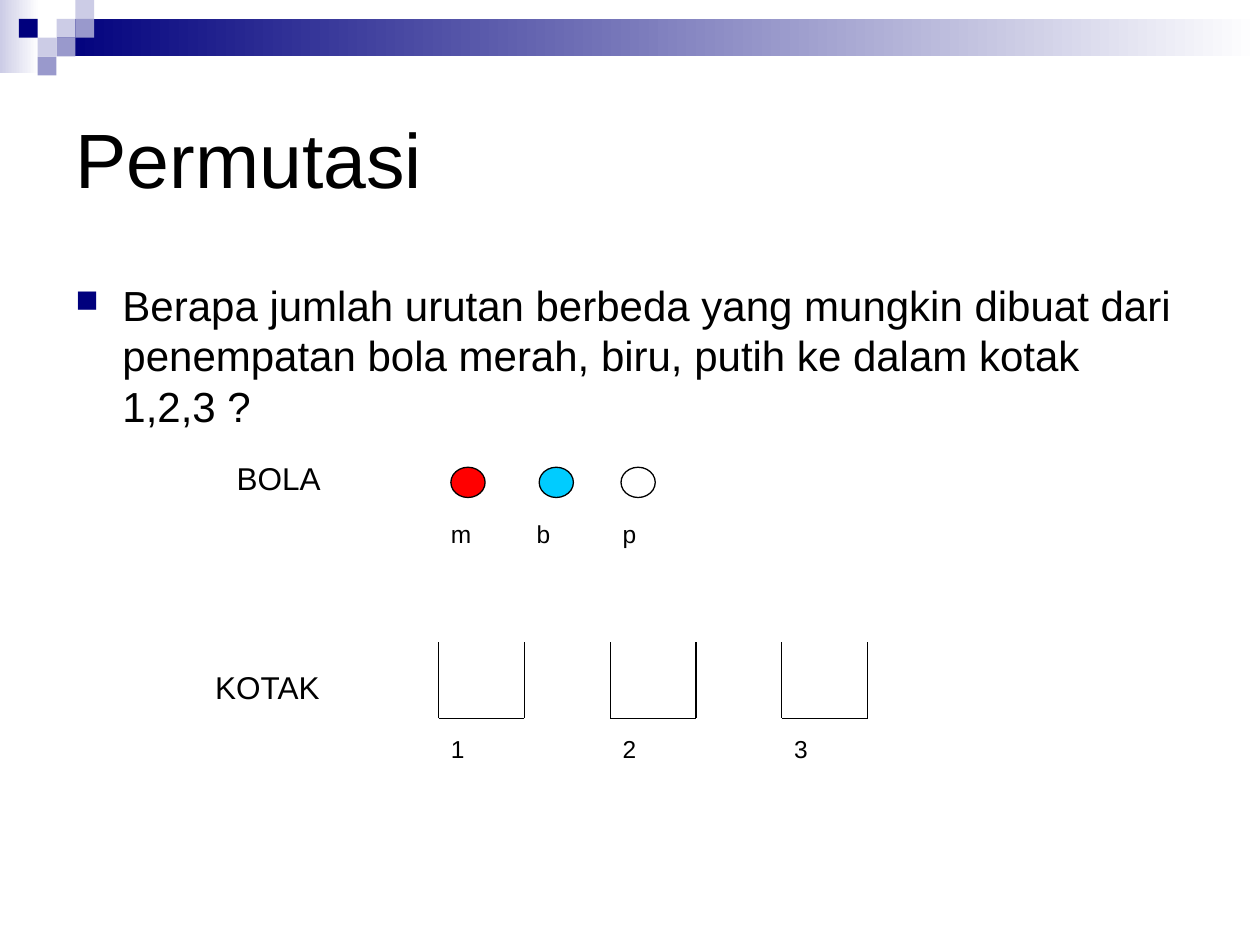
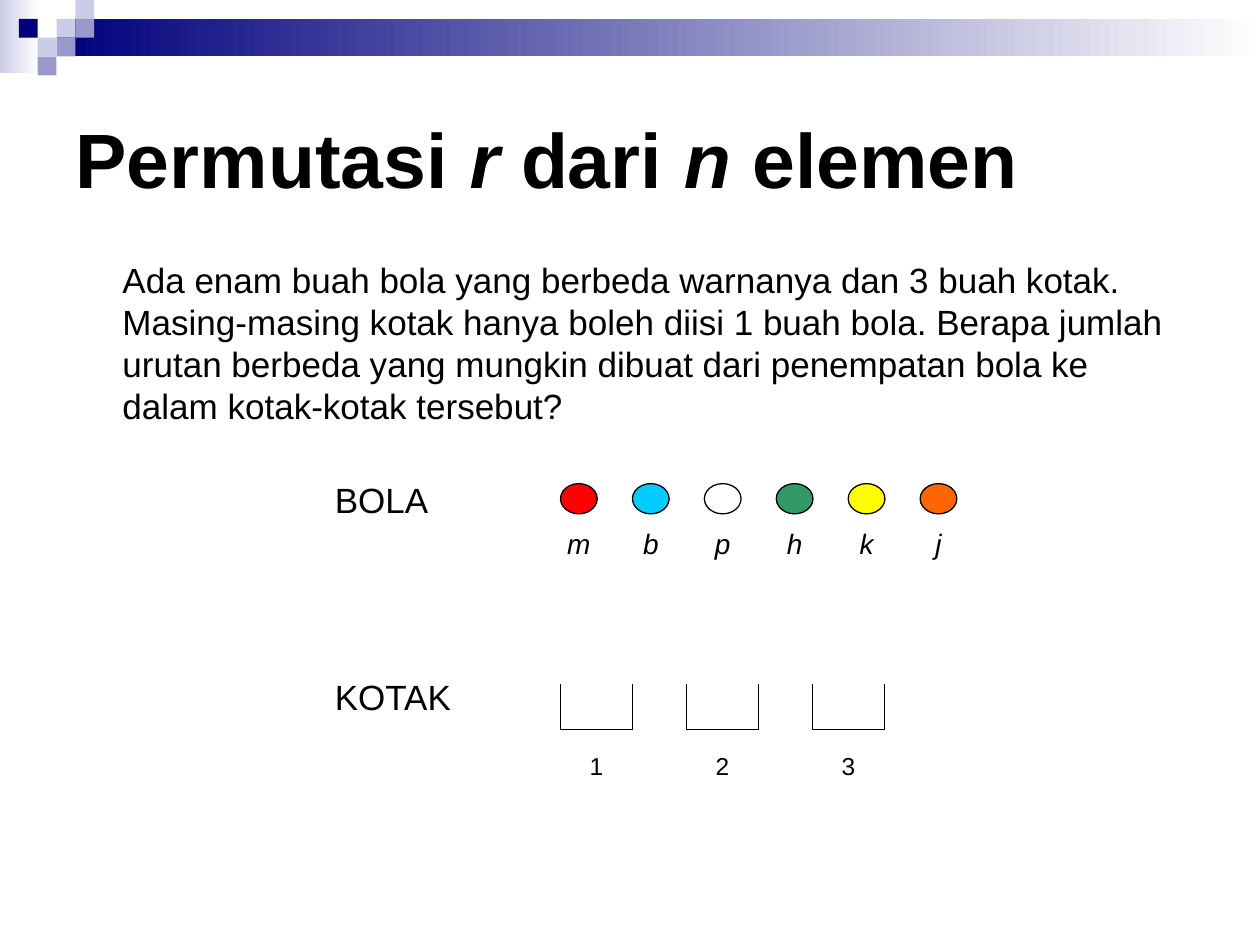
from lxml import etree
from pptx import Presentation
from pptx.dml.color import RGBColor
from pptx.enum import shapes, text
from pptx.oxml.ns import qn
from pptx.util import Cm, Pt

BLACK = RGBColor(0x00, 0x00, 0x00)
WHITE = RGBColor(0xFF, 0xFF, 0xFF)
NAVY = RGBColor(0x00, 0x00, 0x7D)
LILAC = RGBColor(0xCC, 0xCC, 0xE6)
LAVENDER = RGBColor(0x99, 0x99, 0xCC)
RED = RGBColor(0xFF, 0x00, 0x00)
BLUE = RGBColor(0x00, 0xCC, 0xFF)
GREEN = RGBColor(0x33, 0x99, 0x66)
YELLOW = RGBColor(0xFF, 0xFF, 0x00)
ORANGE = RGBColor(0xFF, 0x66, 0x00)

FONT = "Arial"
THIN = Pt(0.75)
TITLE_ONLY = 5
CELL = 0.38     # side of a square in the corner mosaic, cm
INSET = 0.25    # side margin of a text box, cm
LABEL_HEIGHT = 1.12


def set_all(target, values):
    for name, value in values.items():
        setattr(target, name, value)


class Deck:
    """Holds the presentation, its style and the current slide."""

    def __init__(self):
        self.prs = Presentation()
        set_all(self.prs, {"slide_width": Cm(25.4), "slide_height": Cm(19.05)})
        self.layout = self.prs.slide_layouts[TITLE_ONLY]
        self.slide = None

    def new_slide(self, title_runs, bold=False):
        first = self.slide is None
        self.slide = self.prs.slides.add_slide(self.layout)
        if first:
            self.band()
        title = self.slide.shapes.title
        self.place(title, 1.27, 1.27, 22.86, 3.81)
        title.text_frame.vertical_anchor = text.MSO_ANCHOR.MIDDLE
        paragraph = title.text_frame.paragraphs[0]
        paragraph.alignment = text.PP_ALIGN.LEFT
        for words, italic in title_runs:
            self.run(paragraph, words, 44, bold=bold, italic=italic)

    def place(self, shape, left, top, width, height):
        set_all(shape, {"left": Cm(left), "top": Cm(top),
                        "width": Cm(width), "height": Cm(height)})

    def run(self, paragraph, words, size, **styles):
        run = paragraph.add_run()
        run.text = words
        set_all(run.font, {"name": FONT, "size": Pt(size), **styles})
        run.font.color.rgb = BLACK

    def shape(self, kind, left, top, width, height, fill=None, outlined=False):
        shape = self.slide.shapes.add_shape(
            kind, Cm(left), Cm(top), Cm(width), Cm(height))
        shape.shadow.inherit = False
        if fill is None:
            shape.fill.background()
        elif isinstance(fill, RGBColor):
            shape.fill.solid()
            shape.fill.fore_color.rgb = fill
        else:
            shape.fill.gradient()
            shape.fill.gradient_angle = 0
            for stop, position, color in zip(shape.fill.gradient_stops, (0, 1), fill):
                stop.position = position
                stop.color.rgb = color
        if outlined:
            shape.line.color.rgb = BLACK
            shape.line.width = THIN
        else:
            shape.line.fill.background()
        return shape

    def band(self):
        """Draw the top band and mosaic, and hand them to the shared layout."""
        rect = shapes.MSO_SHAPE.RECTANGLE
        parts = [self.shape(rect, 0, 0, 0.79, 1.47, [LILAC, WHITE]),
                 self.shape(rect, 3 * CELL, CELL, 24.26, 2 * CELL, [NAVY, WHITE])]
        mosaic = [(3, 1, LILAC), (4, 0, LILAC), (4, 1, LAVENDER), (2, 2, LILAC),
                  (1, 1, NAVY), (3, 2, LAVENDER), (2, 3, LAVENDER)]
        parts += [self.shape(rect, column * CELL, row * CELL, CELL, CELL, color)
                  for column, row, color in mosaic]
        for number, part in enumerate(parts, 100):
            part.element.nvSpPr.cNvPr.set("id", str(number))
            self.layout.shapes.element.append(part.element)

    def text_box(self, words, size, left, top, width, height, before=0, **styles):
        box = self.slide.shapes.add_textbox(
            Cm(left), Cm(top), Cm(width), Cm(height))
        box.text_frame.word_wrap = True
        paragraph = box.text_frame.paragraphs[0]
        paragraph.space_before = Pt(before)
        self.run(paragraph, words, size, **styles)
        return box, paragraph

    def body(self, words, size, top, height, before=0, bullet=False):
        paragraph = self.text_box(words, size, 1.27, top, 22.86, height, before)[1]
        props = paragraph._p.get_or_add_pPr()
        props.set("marL", str(Cm(0.95)))
        props.set("indent", str(-Cm(0.95) if bullet else 0))
        if bullet:
            color = etree.SubElement(props, qn("a:buClr"))
            etree.SubElement(color, qn("a:srgbClr"), val=str(NAVY))
            etree.SubElement(props, qn("a:buSzPct"), val="75000")
            etree.SubElement(props, qn("a:buChar"), char="■")

    def label(self, words, size, left, top, width, height=LABEL_HEIGHT, **styles):
        box, paragraph = self.text_box(words, size, left, top, width, height, **styles)
        box.fill.solid()
        box.fill.fore_color.rgb = WHITE
        return paragraph

    def label_row(self, names, size, centers, left, top, width,
                  height=LABEL_HEIGHT, **styles):
        """One line of names, each on a centred tab stop."""
        words = "".join("\t" + name for name in names)
        paragraph = self.label(words, size, left, top, width, height, **styles)
        tabs = etree.SubElement(paragraph._p.get_or_add_pPr(), qn("a:tabLst"))
        for center in centers:
            etree.SubElement(tabs, qn("a:tab"), algn="ctr",
                             pos=str(Cm(center - left - INSET)))

    def ball(self, color, left, top, width):
        self.shape(shapes.MSO_SHAPE.OVAL, left, top, width, 0.61, color, True)

    def line(self, x1, y1, x2, y2):
        line = self.slide.shapes.add_connector(
            shapes.MSO_CONNECTOR.STRAIGHT, Cm(x1), Cm(y1), Cm(x2), Cm(y2))
        line.line.color.rgb = BLACK
        line.line.width = THIN
        etree.SubElement(line.element.spPr, qn("a:effectLst"))

    def open_box(self, left, top, width, bottom):
        right = left + width
        self.line(left, top, left, bottom)
        self.line(left, bottom, right, bottom)
        self.line(right, bottom, right, top)


def permutation_slide(deck):
    deck.new_slide([("Permutasi", False)])
    deck.body("Berapa jumlah urutan berbeda yang mungkin dibuat dari penempatan "
              "bola merah, biru, putih ke dalam kotak 1,2,3 ?",
              24, 5.51, 10.8, before=6, bullet=True)
    start, box_width = 8.84, 1.73

    # Balls
    deck.label("BOLA", 18, 4.52, 9.12, 3.89)
    balls = [("m", RED, 9.09), ("b", BLUE, 10.87), ("p", None, 12.52)]
    for i, (name, color, left) in enumerate(balls):
        deck.ball(color, left, 9.42, 0.69)
        deck.label(name, 14, start + i * box_width, 10.34, 1.3)

    # Boxes
    deck.label("KOTAK", 18, 4.09, 13.34, 3.89)
    for i in range(3):
        left = start + i * 2 * box_width
        deck.open_box(left, 12.95, box_width, 14.48)
        deck.label(str(i + 1), 14, left, 14.68, 1.3)


def r_of_n_slide(deck):
    deck.new_slide([("Permutasi ", False), ("r", True), (" dari ", False),
                    ("n", True), (" elemen", False)], bold=True)
    deck.body("Ada enam buah bola yang berbeda warnanya dan 3 buah kotak. "
              "Masing-masing kotak hanya boleh diisi 1 buah bola. Berapa jumlah "
              "urutan berbeda yang mungkin dibuat dari penempatan bola ke dalam "
              "kotak-kotak tersebut?", 20, 5.08, 11.23)
    start, step = 11.3, 1.45

    # Balls
    ball_width = 0.74
    ball_lefts = [start + i * step for i in range(6)]
    for left, color in zip(ball_lefts, (RED, BLUE, None, GREEN, YELLOW, ORANGE)):
        deck.ball(color, left, 9.75, ball_width)
    deck.label_row("mbphkj", 16, [left + ball_width / 2 for left in ball_lefts],
                   10.59, 10.49, 9.53, 1.78, before=6, italic=True)
    deck.label("BOLA", 20, 6.5, 9.53, 4.09)

    # Boxes
    box_lefts = [start + i * 2.54 for i in range(3)]
    for left in box_lefts:
        deck.open_box(left, 13.79, step, 14.71)
    deck.label("KOTAK", 20, 6.5, 13.49, 4.09)
    deck.label_row("123", 14, [left + step / 2 for left in box_lefts],
                   11.02, 15.01, 7.26)


def main():
    deck = Deck()
    permutation_slide(deck)
    r_of_n_slide(deck)
    deck.prs.save("out.pptx")


if __name__ == "__main__":
    main()
